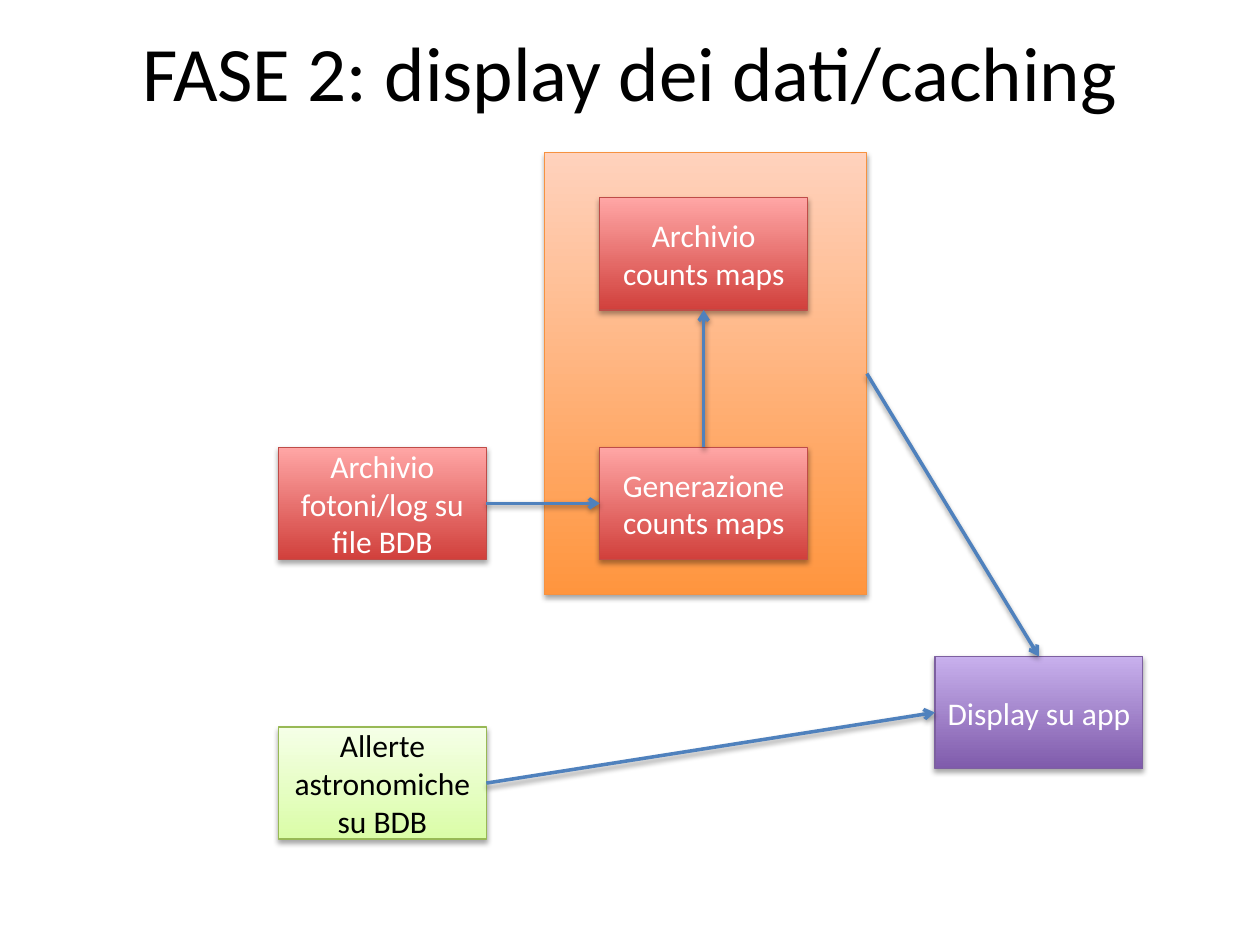
"""Build the phase 2 slide: data flow from the archives to the display."""
from lxml import etree
from pptx import Presentation
from pptx.dml.color import RGBColor
from pptx.enum import shapes, text
from pptx.oxml import ns
from pptx.util import Inches, Pt

TITLE = "FASE 2: display dei dati/caching"
FONT = "Calibri"
COLORS = {"white": "FFFFFF", "black": "000000", "arrow": "4F81BD"}
STYLES = {
    "orange": {"bottom": "FF953E", "top": "FFD2BD", "line": "F69240", "text": "white"},
    "red": {"bottom": "D1403C", "top": "FFA6A5", "line": "BF4C48", "text": "white"},
    "green": {"bottom": "DAFDA7", "top": "F5FFE7", "line": "98B955", "text": "black"},
    "purple": {"bottom": "7F5BAB", "top": "C8B0ED", "line": "7D60A0", "text": "white"},
}
COLUMNS = {"sources": 2.21, "maps": 4.76, "display": 7.42}
ROWS = {"archive": 1.57, "generation": 3.55, "display": 5.21, "alerts": 5.77}
BOX_SIZE = (1.65, 0.89)
FRAME = (4.32, 1.21, 2.56, 3.51)
BOXES = [
    ("photons", "Archivio fotoni/log su file BDB", "sources", "generation", "red"),
    ("alerts", "Allerte astronomiche su BDB", "sources", "alerts", "green"),
    ("generation", "Generazione counts maps", "maps", "generation", "red"),
    ("display", "Display su app", "display", "display", "purple"),
    ("archive", "Archivio counts maps", "maps", "archive", "red"),
]
TOP, LEFT, BOTTOM, RIGHT = range(4)
ARROWS = [
    ("photons", RIGHT, "generation", LEFT),
    ("frame", RIGHT, "display", TOP),
    ("alerts", RIGHT, "display", LEFT),
    ("generation", TOP, "archive", BOTTOM),
]


def rgb(name):
    return RGBColor.from_string(COLORS.get(name, name))


def add_shadow(shape, distance, opacity):
    effects = etree.SubElement(shape._element.spPr, ns.qn("a:effectLst"))
    shadow = etree.SubElement(
        effects, ns.qn("a:outerShdw"), blurRad=str(Pt(3.1)), dist=str(Pt(distance)),
        dir="5400000", rotWithShape="0")
    color = etree.SubElement(shadow, ns.qn("a:srgbClr"), val=COLORS["black"])
    etree.SubElement(color, ns.qn("a:alpha"), val=str(opacity * 1000))


def add_box(slide, area, style_name, label=""):
    style = STYLES[style_name]
    shape = slide.shapes.add_shape(
        shapes.MSO_SHAPE.RECTANGLE, *(Inches(length) for length in area))
    shape.fill.gradient()
    shape.fill.gradient_angle = 90
    for stop, side in zip(shape.fill.gradient_stops, ("bottom", "top")):
        stop.color.rgb = rgb(style[side])
    shape.line.color.rgb = rgb(style["line"])
    shape.line.width = Pt(0.75)
    add_shadow(shape, 1.8, 35)
    if label:
        frame = shape.text_frame
        frame.text = label
        frame.word_wrap = True
        frame.vertical_anchor = text.MSO_ANCHOR.MIDDLE
        format_paragraph(frame.paragraphs[0], 18, style["text"])
    return shape


def format_paragraph(paragraph, size, color):
    paragraph.alignment = text.PP_ALIGN.CENTER
    paragraph.font.name = FONT
    paragraph.font.size = Pt(size)
    paragraph.font.color.rgb = rgb(color)


def add_arrow(slide, start, start_side, end, end_side):
    arrow = slide.shapes.add_connector(shapes.MSO_CONNECTOR.STRAIGHT, 0, 0, 0, 0)
    arrow.begin_connect(start, start_side)
    arrow.end_connect(end, end_side)
    arrow.line.color.rgb = rgb("arrow")
    arrow.line.width = Pt(2)
    etree.SubElement(arrow.line._get_or_add_ln(), ns.qn("a:tailEnd"), type="arrow")
    add_shadow(arrow, 1.6, 38)


def main():
    presentation = Presentation()
    presentation.slide_width, presentation.slide_height = Inches(10), Inches(7.5)
    slide = presentation.slides.add_slide(presentation.slide_layouts[5])

    title = slide.shapes.title
    title.left, title.top, title.width, title.height = map(Inches, (0.5, 0.04, 9, 1.05))
    title.text_frame.text = TITLE
    format_paragraph(title.text_frame.paragraphs[0], 44, "black")

    nodes = {"frame": add_box(slide, FRAME, "orange")}
    for name, label, column, row, style in BOXES:
        area = (COLUMNS[column], ROWS[row], *BOX_SIZE)
        nodes[name] = add_box(slide, area, style, label)
    for start, start_side, end, end_side in ARROWS:
        add_arrow(slide, nodes[start], start_side, nodes[end], end_side)

    presentation.save("out.pptx")


if __name__ == "__main__":
    main()
